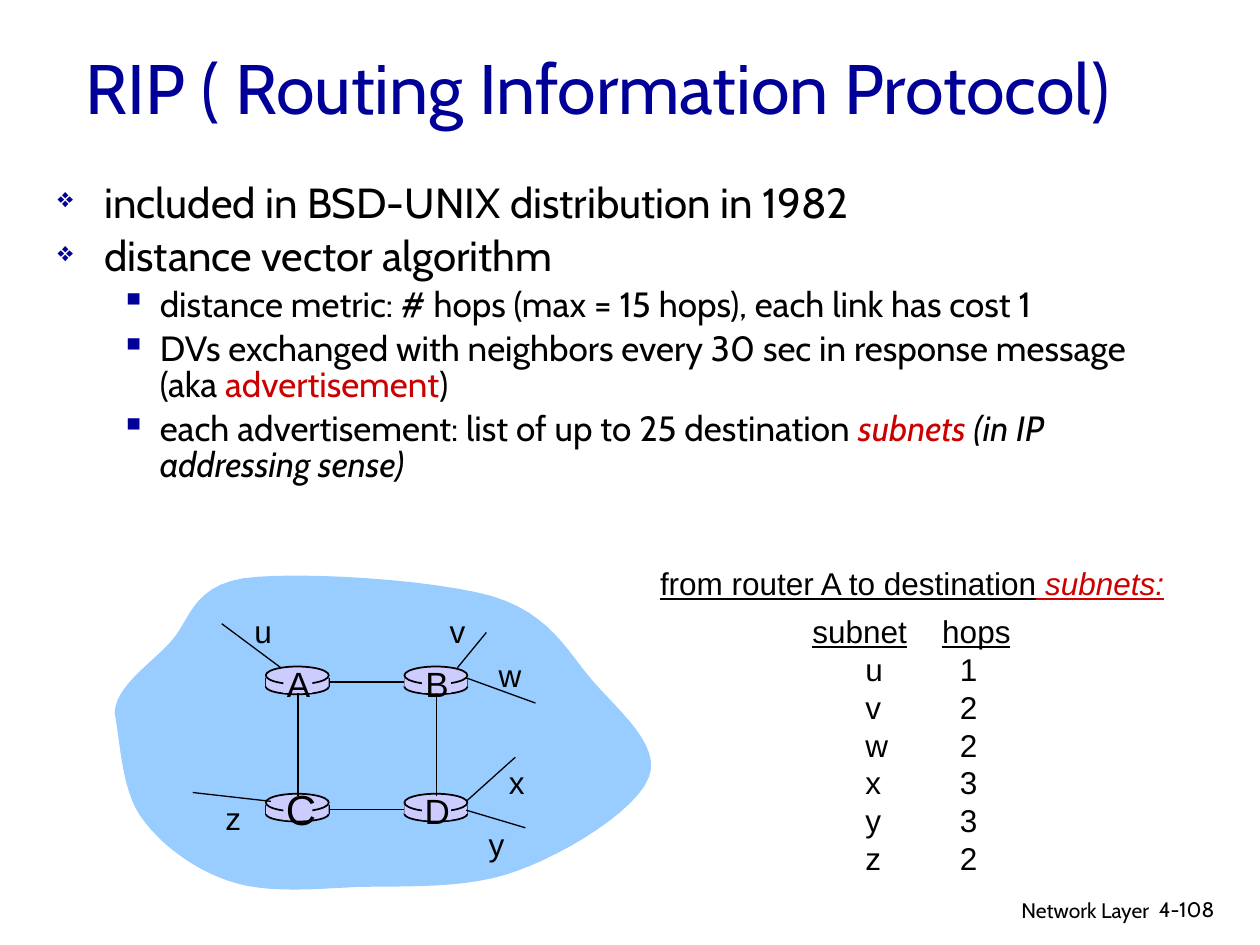
from lxml import etree
from pptx import Presentation
from pptx import util as u
from pptx.dml import color
from pptx.enum import shapes, text
from pptx.oxml import ns

COLORS = {"ink": "000000", "navy": "000099", "red": "CC0000",
          "cloud": "99CCFF", "disk": "CCCCFF"}
KIND = shapes.MSO_SHAPE

BULLETS = [
    (0, [("included in BSD-UNIX distribution in 1982", {})]),
    (0, [("distance vector algorithm", {})]),
    (1, [("distance metric: # hops (max = 15 hops), each link has cost 1", {})]),
    (1, [("DVs exchanged with neighbors every 30 sec in response message (aka ", {}),
         ("advertisement", {"tint": "red"}), (")", {})]),
    (1, [("each advertisement: list of up to 25 destination ", {}),
         ("subnets ", {"tint": "red", "italic": True}),
         ("(in IP addressing sense)", {"italic": True})]),
]
CURVES = [
    ((0.92, 5.45), (1.17, 5.29), (1.34, 5.11)),
    ((1.51, 4.94), (1.51, 4.66), (1.93, 4.59)),
    ((2.36, 4.53), (3.44, 4.6), (3.9, 4.73)),
    ((4.37, 4.87), (4.5, 5.17), (4.71, 5.41)),
    ((4.92, 5.65), (5.25, 5.92), (5.15, 6.17)),
    ((5.05, 6.43), (4.5, 6.77), (4.11, 6.91)),
    ((3.72, 7.06), (3.21, 7.03), (2.83, 7.04)),
    ((2.44, 7.06), (2.1, 7.09), (1.81, 6.99)),
    ((1.52, 6.89), (1.26, 6.69), (1.11, 6.47)),
    ((0.96, 6.25), (0.95, 5.83), (0.91, 5.66)),
]
ROUTERS = {"A": (2.11, 5.38, 20), "B": (3.21, 5.38, 20),
           "C": (2.11, 6.39, 24), "D": (3.21, 6.39, 20)}
STUBS = [
    (3.7, 5.38, 4.25, 5.58), (3.63, 5.3, 3.86, 5.02),
    (3.7, 6.36, 4.09, 6.01), (3.7, 6.43, 4.17, 6.57),
    (2.23, 5.3, 1.76, 4.95), (2.15, 6.36, 1.53, 6.29),
]
SUBNETS = [("u", 1.92, 4.81), ("v", 3.47, 4.81), ("w", 3.86, 5.16),
           ("x", 3.94, 6.01), ("y", 3.78, 6.5), ("z", 1.69, 6.29)]
HOPS = {"u": 1, "v": 2, "w": 2, "x": 3, "y": 3, "z": 2}


def rgb(name):
    return color.RGBColor.from_string(COLORS[name])


def add_run(para, words, size, face="Arial", tint="ink", italic=False, under=False):
    run = para.add_run()
    run.text = words
    font = run.font
    font.size, font.name = u.Pt(size), face
    font.color.rgb = rgb(tint)
    font.italic, font.underline = italic, under


def add_box(slide, x, y, w, h, align=text.PP_ALIGN.LEFT, wrap=False):
    box = slide.shapes.add_textbox(*map(u.Inches, (x, y, w, h)))
    frame = box.text_frame
    frame.word_wrap = wrap
    frame.paragraphs[0].alignment = align
    return frame


def add_part(para, tag, **attrs):
    node = etree.SubElement(para._p.get_or_add_pPr(), ns.qn("a:" + tag))
    for key, value in attrs.items():
        node.set(key, value)
    return node


def add_title(slide):
    title = slide.shapes.title
    title.left, title.top, title.width, title.height = map(
        u.Inches, (0.58, 0.17, 8.94, 1.03))
    frame = title.text_frame
    frame.auto_size = text.MSO_AUTO_SIZE.NONE
    frame.vertical_anchor = text.MSO_ANCHOR.MIDDLE
    para = frame.paragraphs[0]
    para.alignment = text.PP_ALIGN.LEFT
    add_run(para, "RIP ( Routing Information Protocol)", 40, "Cabin", "navy")


def add_list(slide):
    frame = add_box(slide, 0.36, 1.41, 9.15, 1.85, wrap=True)
    for i, (level, runs) in enumerate(BULLETS):
        para = frame.add_paragraph() if i else frame.paragraphs[0]
        para.level = level
        left, hang, size, gap, mark = [(0.37, 0.37, 24, 6, "❖"),
                                       (0.81, 0.31, 20, 5, "▪")][level]
        props = para._p.get_or_add_pPr()
        props.set("marL", str(u.Inches(left)))
        props.set("indent", str(-u.Inches(hang)))
        tone = add_part(para, "buClr")
        etree.SubElement(tone, ns.qn("a:srgbClr")).set("val", COLORS["navy"])
        if level == 0:
            add_part(para, "buSzPct", val="65000")
        add_part(para, "buChar", char=mark)
        para.line_spacing = 0.85
        para.space_before = u.Pt(gap if i else 0)
        for words, style in runs:
            add_run(para, words, size, "Cabin", **style)


def paint(shape, fill, edge=False):
    shape.shadow.inherit = False
    shape.fill.solid()
    shape.fill.fore_color.rgb = rgb(fill)
    if edge:
        shape.line.color.rgb = rgb("ink")
        shape.line.width = u.Pt(1)
    else:
        shape.line.fill.background()


def add_disk(slide, kind, x, y, w, h, edge=False):
    shape = slide.shapes.add_shape(kind, *map(u.Inches, (x, y, w, h)))
    paint(shape, "disk", edge)
    return shape


def add_line(slide, x1, y1, x2, y2, width):
    line = slide.shapes.add_connector(
        shapes.MSO_CONNECTOR.STRAIGHT, *map(u.Inches, (x1, y1, x2, y2)))
    line.line.color.rgb = rgb("ink")
    line.line.width = u.Pt(width)
    etree.SubElement(line._element.spPr, ns.qn("a:effectLst"))
    return line


def add_cloud(slide, steps=12):
    start = CURVES[-1][-1]
    points = []
    for one, two, end in CURVES:
        for k in range(1, steps + 1):
            t = k / steps
            s = 1 - t
            points.append([u.Inches(s**3 * a + 3*s*s*t * b + 3*s*t*t * c + t**3 * d)
                           for a, b, c, d in zip(start, one, two, end)])
        start = end
    build = slide.shapes.build_freeform(*points[-1])
    build.add_line_segments(points[:-1], close=True)
    paint(build.convert_to_shape(), "cloud")


def add_router(slide, name, x, y, size):
    add_disk(slide, KIND.OVAL, x, y + 0.01, 0.5, 0.12, True)
    for side in (x, x + 0.5):
        add_line(slide, side, y, side, y + 0.07, 1)
    body = add_disk(slide, KIND.RECTANGLE, x, y, 0.5, 0.07)
    add_disk(slide, KIND.OVAL, x, y - 0.09, 0.5, 0.14, True)
    patch = add_disk(slide, KIND.RECTANGLE, x + 0.14, y - 0.07, 0.23, 0.19)
    top = y - 0.17 if size == 20 else y - 0.22
    frame = add_box(slide, x + 0.06, top, 0.4, 0.44, text.PP_ALIGN.CENTER)
    add_run(frame.paragraphs[0], name, size)
    return body, patch


def add_link(slide, first, last, out, into):
    line = add_line(slide, 0, 0, 1, 1, 1)
    line.begin_connect(first, out)
    line.end_connect(last, into)


def add_net(slide):
    add_cloud(slide)
    nodes = {name: add_router(slide, name, *spot) for name, spot in ROUTERS.items()}
    for a, b in ("AB", "CD"):
        add_link(slide, nodes[a][0], nodes[b][0], 3, 1)
    for a, b in ("AC", "BD"):
        add_link(slide, nodes[a][1], nodes[b][1], 2, 0)
    for ends in STUBS:
        add_line(slide, *ends, 0.75)
    for name, x, y in SUBNETS:
        add_run(add_box(slide, x, y, 0.34, 0.4).paragraphs[0], name, 18)


def set_tabs(para, *stops):
    tabs = add_part(para, "tabLst")
    for stop in stops:
        tab = etree.SubElement(tabs, ns.qn("a:tab"))
        tab.set("pos", str(u.Inches(stop)))
        tab.set("algn", "l")


def add_hops(slide):
    head = add_box(slide, 5.14, 4.43, 4.23, 0.4).paragraphs[0]
    add_run(head, "from router A to destination", 18, under=True)
    add_run(head, " ", 18, tint="red", under=True)
    add_run(head, "subnets:", 18, tint="red", italic=True, under=True)
    frame = add_box(slide, 6.35, 4.81, 1.77, 2.5)
    para = frame.paragraphs[0]
    set_tabs(para, 1.03)
    for words, under in (("subnet", True), ("\t", False), ("hops", True)):
        add_run(para, words, 18, under=under)
    for name, count in HOPS.items():
        para = frame.add_paragraph()
        set_tabs(para, 0.42, 1.17)
        add_run(para, f"\t{name}\t{count}", 18)
    for para in frame.paragraphs:
        para.line_spacing = u.Pt(21.6)


def add_foot(slide):
    name = add_box(slide, 6.05, 7.07, 3.17, 0.31, text.PP_ALIGN.RIGHT, True)
    add_run(name.paragraphs[0], "Network Layer", 12, "Cabin")
    page = add_box(slide, 9.1, 7.07, 0.74, 0.3, wrap=True)
    add_run(page.paragraphs[0], "4-108", 12, "Cabin")


def main():
    deck = Presentation()
    deck.slide_width, deck.slide_height = u.Inches(10), u.Inches(7.5)
    slide = deck.slides.add_slide(deck.slide_layouts[5])
    add_foot(slide)
    add_title(slide)
    add_list(slide)
    add_net(slide)
    add_hops(slide)
    deck.save("out.pptx")


if __name__ == "__main__":
    main()
